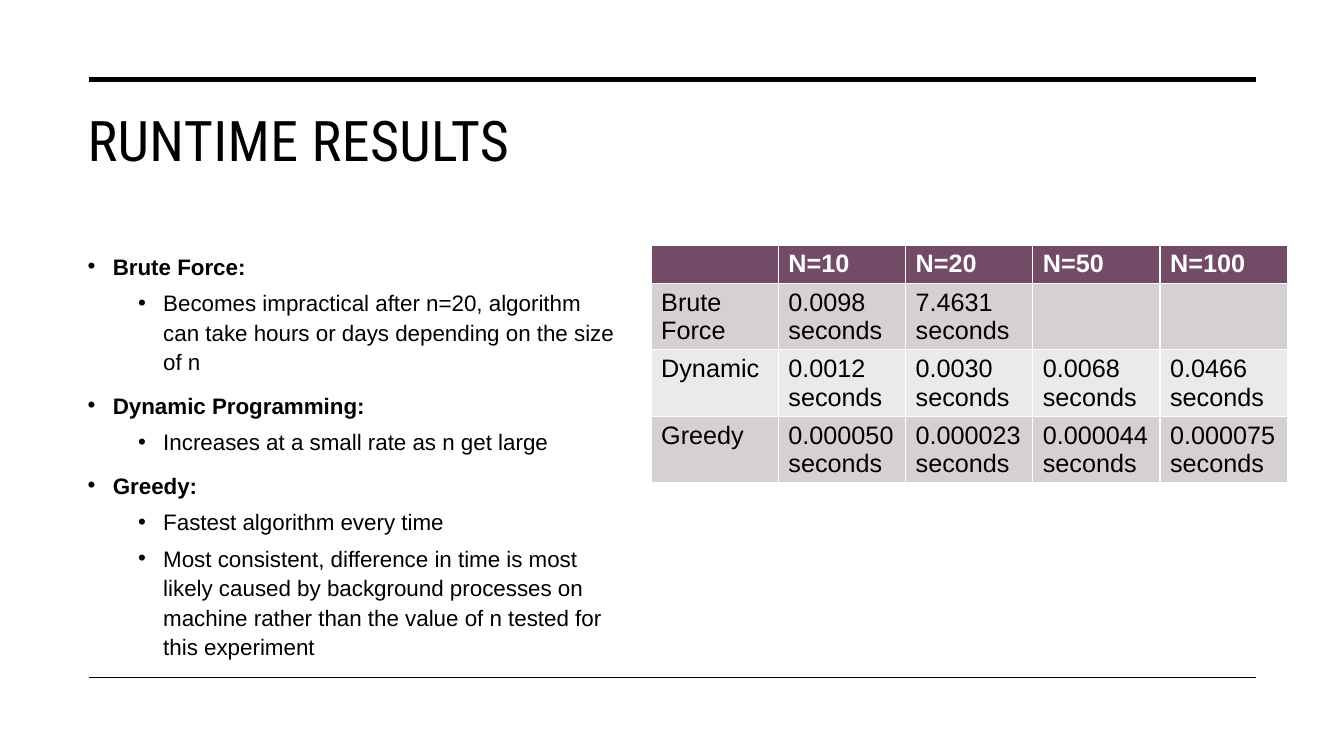
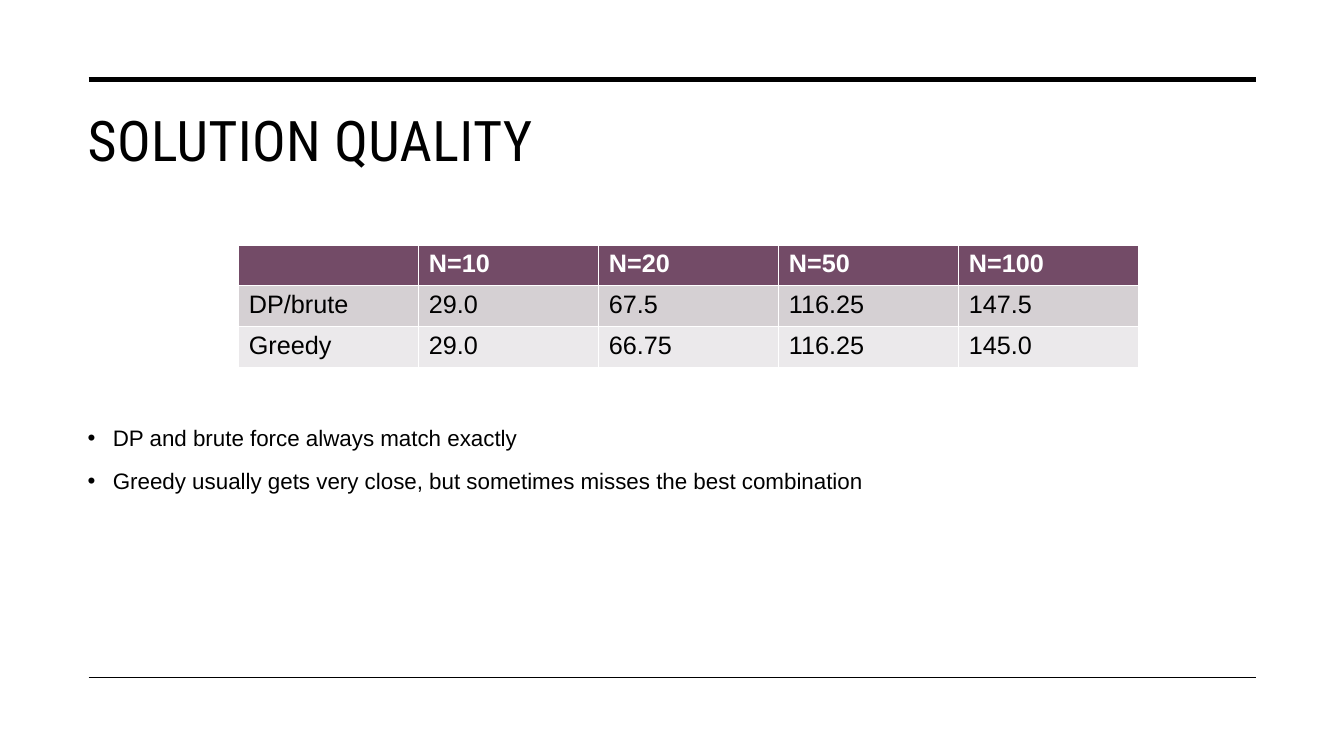
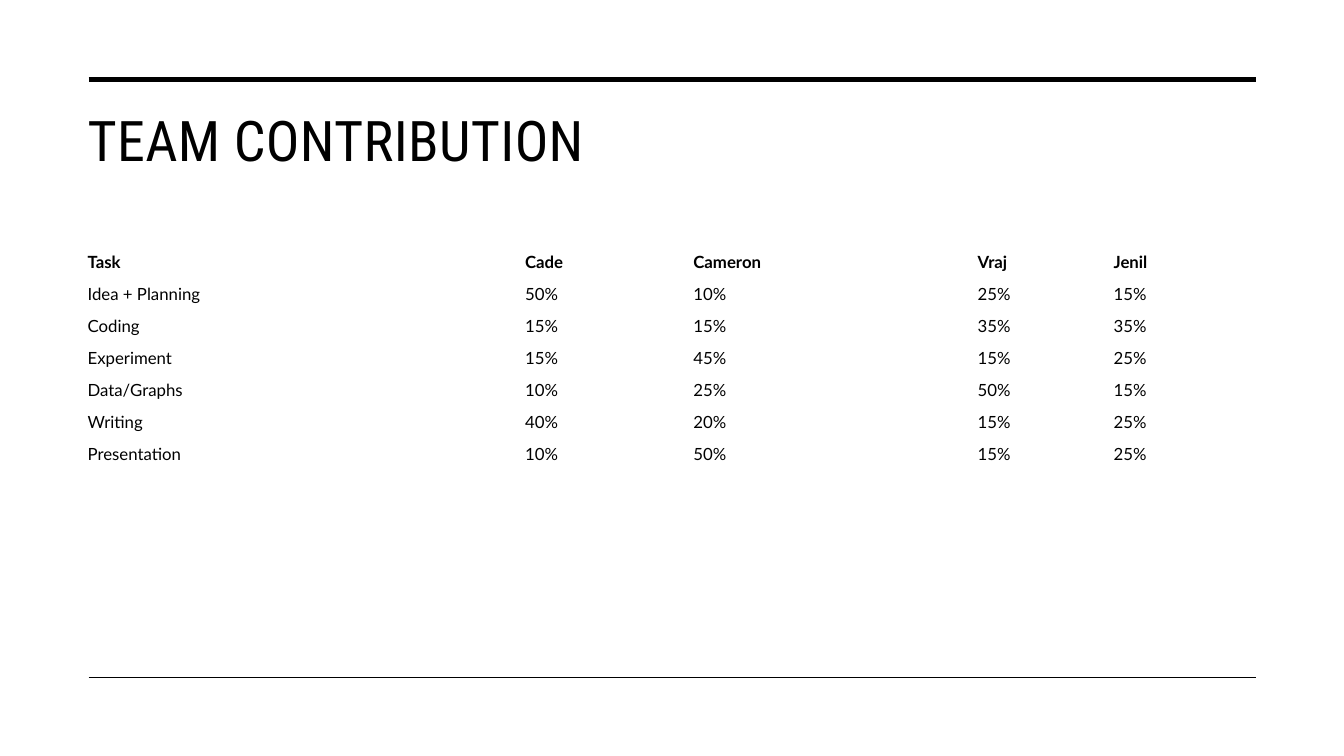
import pptx
import pptx.dml.color
import pptx.enum.shapes
import pptx.enum.text
import pptx.oxml.ns
import pptx.util
from lxml import etree

Pt = pptx.util.Pt
qn = pptx.oxml.ns.qn
RGBColor = pptx.dml.color.RGBColor

BLACK = RGBColor(0x00, 0x00, 0x00)
WHITE = RGBColor(0xFF, 0xFF, 0xFF)
PLUM = RGBColor(0x73, 0x4B, 0x67)
MAUVE = RGBColor(0xD5, 0xD0, 0xD3)
PALE = RGBColor(0xEB, 0xE9, 0xEB)

LEFT, WIDTH = 55.4, 841.7
CONTENT_TOP, CONTENT_HEIGHT = 175, 294.5
TITLE_FONT, BODY_FONT, GRID_FONT = "Roboto Condensed", "Arial", "Lato"
PLAIN_TABLE_STYLE = "{2D5ABB26-0587-4C30-8999-92F81FD0307C}"


def add_list(page, width, items):
    body = page.placeholders[1]
    body.left, body.top = Pt(LEFT), Pt(CONTENT_TOP)
    body.width, body.height = Pt(width), Pt(CONTENT_HEIGHT)
    frame = body.text_frame
    frame.auto_size = pptx.enum.text.MSO_AUTO_SIZE.NONE
    for number, (level, bold, text) in enumerate(items):
        para = frame.add_paragraph() if number else frame.paragraphs[0]
        para.text = text
        para.level = level
        para.line_spacing = 1.1
        para.space_before = Pt(5 if level else 10)
        para.font.name = BODY_FONT
        para.font.size = Pt(16)
        para.font.bold = bold
        para.font.color.rgb = BLACK
    return frame


def add_grid(page, left, widths, heights, rows, font, size, banded):
    frame = page.shapes.add_table(len(rows), len(widths), Pt(left), Pt(CONTENT_TOP),
                                  Pt(sum(widths)), Pt(sum(heights)))
    table = frame.table
    table.first_row = table.horz_banding = banded
    for column, width in zip(table.columns, widths):
        column.width = Pt(width)
    for row_number, (row, height, texts) in enumerate(zip(table.rows, heights, rows)):
        row.height = Pt(height)
        header = row_number == 0
        for cell, text in zip(row.cells, texts):
            if banded:
                cell.fill.solid()
                cell.fill.fore_color.rgb = PLUM if header else (PALE, MAUVE)[row_number % 2]
            else:
                cell.fill.background()
            cell.text = text
            para = cell.text_frame.paragraphs[0]
            para.font.name = font
            para.font.size = Pt(size)
            para.font.bold = header
            para.font.color.rgb = WHITE if header and banded else BLACK
    return frame


deck = pptx.Presentation()
deck.slide_width, deck.slide_height = Pt(960), Pt(540)
master = deck.slide_master

master_title = master.placeholders[0]
master_title.left, master_title.top = Pt(LEFT), Pt(72)
master_title.width, master_title.height = Pt(WIDTH), Pt(103)
master_title.text_frame.vertical_anchor = pptx.enum.text.MSO_ANCHOR.TOP
master_title.text_frame.auto_size = pptx.enum.text.MSO_AUTO_SIZE.NONE

styles = master.element.find(qn("p:txStyles"))
title_style = styles.find(qn("p:titleStyle")).find(qn("a:lvl1pPr"))
title_style.set("algn", "l")
title_run = title_style.find(qn("a:defRPr"))
title_run.set("sz", "4000")
title_run.set("spc", "30")
title_run.find(qn("a:latin")).set("typeface", TITLE_FONT)

for level_tag, indent in (("a:lvl1pPr", 18), ("a:lvl2pPr", 54)):
    level_style = styles.find(qn("p:bodyStyle")).find(qn(level_tag))
    level_style.set("marL", str(Pt(indent)))
    level_style.set("indent", str(Pt(-18)))
    level_style.find(qn("a:buChar")).set("char", "•")

pages = []
for title, layout in (("RUNTIME RESULTS", 1), ("SOLUTION QUALITY", 1), ("TEAM CONTRIBUTION", 5)):
    page = deck.slides.add_slide(deck.slide_layouts[layout])
    page.shapes.title.text = title
    pages.append(page)
runtime_page, quality_page, team_page = pages

for rule_id, y, weight in ((21, 56.9, 3.5), (22, 483.8, 1)):
    rule = runtime_page.shapes.add_connector(pptx.enum.shapes.MSO_CONNECTOR.STRAIGHT,
                                             Pt(63.4), Pt(y), Pt(897.1), Pt(y))
    rule.line.color.rgb = BLACK
    rule.line.width = Pt(weight)
    etree.SubElement(rule.element.find(qn("p:spPr")), qn("a:effectLst"))
    rule.element.find(".//" + qn("p:cNvPr")).set("id", str(rule_id))
    master.shapes.element.append(rule.element)

add_list(runtime_page, 391, [
    (0, True, "Brute Force:"),
    (1, False, "Becomes impractical after n=20, algorithm can take hours or days "
               "depending on the size of n"),
    (0, True, "Dynamic Programming:"),
    (1, False, "Increases at a small rate as n get large"),
    (0, True, "Greedy:"),
    (1, False, "Fastest algorithm every time"),
    (1, False, "Most consistent, difference in time is most likely caused by background "
               "processes on machine rather than the value of n tested for this experiment"),
])
sizes = ["", "N=10", "N=20", "N=50", "N=100"]
add_grid(runtime_page, 465.1, [90.9] * 5, [27, 47, 47, 47], [
    sizes,
    ["Brute Force", "0.0098 seconds", "7.4631 seconds", "", ""],
    ["Dynamic", "0.0012 seconds", "0.0030 seconds", "0.0068 seconds", "0.0466 seconds"],
    ["Greedy", "0.000050 seconds", "0.000023 seconds", "0.000044 seconds", "0.000075 seconds"],
], BODY_FONT, 18, True)

findings = add_list(quality_page, WIDTH, [
    (0, False, "DP and brute force always match exactly"),
    (0, False, "Greedy usually gets very close, but sometimes misses the best combination"),
])
findings.margin_top = Pt(126)
add_grid(quality_page, 170.6, [128.6] * 5, [29.2] * 3, [
    sizes,
    ["DP/brute", "29.0", "67.5", "116.25", "147.5"],
    ["Greedy", "29.0", "66.75", "116.25", "145.0"],
], BODY_FONT, 18, True)

team_grid = add_grid(team_page, LEFT, [312.5, 120.2, 203, 97.2, 108.8], [22.8] * 7, [
    ["Task", "Cade", "Cameron", "Vraj", "Jenil"],
    ["Idea + Planning", "50%", "10%", "25%", "15%"],
    ["Coding", "15%", "15%", "35%", "35%"],
    ["Experiment", "15%", "45%", "15%", "25%"],
    ["Data/Graphs", "10%", "25%", "50%", "15%"],
    ["Writing", "40%", "20%", "15%", "25%"],
    ["Presentation", "10%", "50%", "15%", "25%"],
], GRID_FONT, 12, False)
team_grid.element.find(".//" + qn("a:tableStyleId")).text = PLAIN_TABLE_STYLE
for cell in team_grid.table.iter_cells():
    cell.vertical_anchor = pptx.enum.text.MSO_ANCHOR.MIDDLE
    para = cell.text_frame.paragraphs[0]
    para.line_spacing = Pt(15.6)
    para.space_after = Pt(8)

deck.save("out.pptx")
